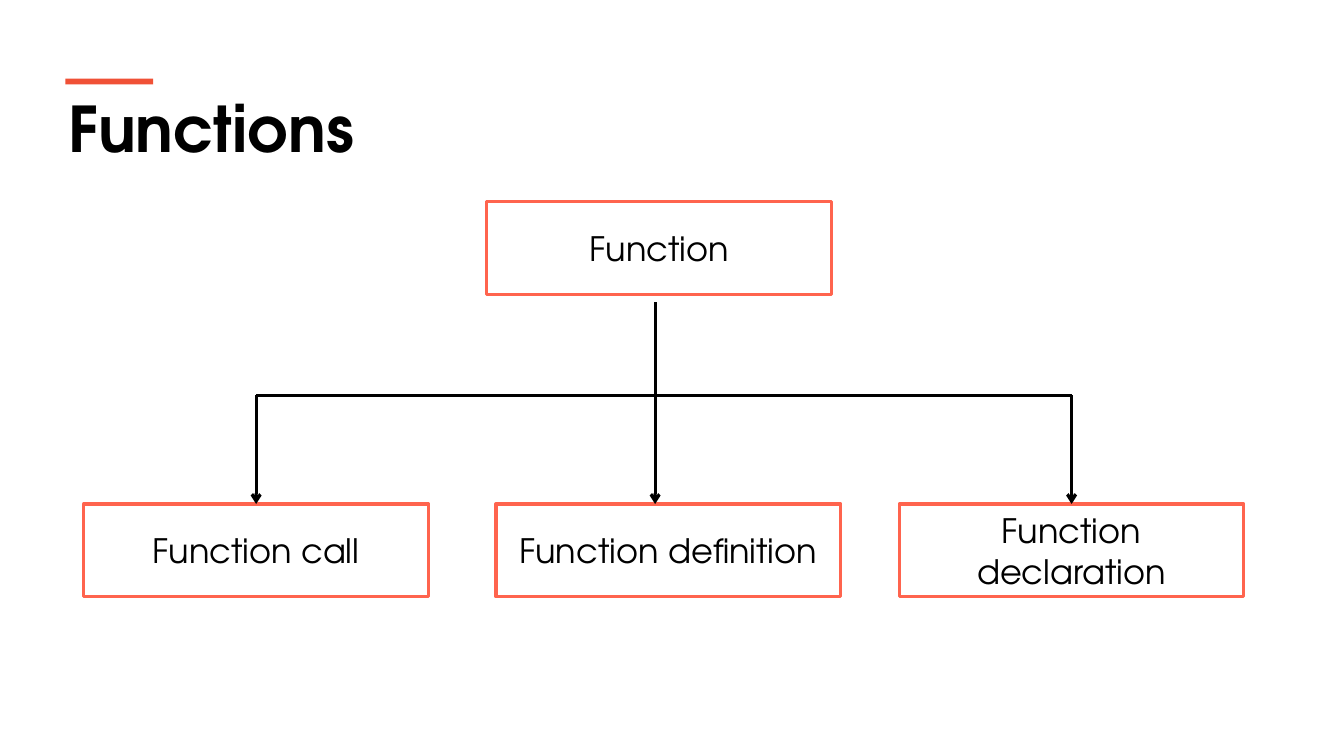
from lxml import etree
from pptx import Presentation
from pptx.dml.color import RGBColor
from pptx.enum.shapes import MSO_CONNECTOR, MSO_SHAPE
from pptx.enum.text import MSO_ANCHOR, MSO_AUTO_SIZE, PP_ALIGN
from pptx.oxml.ns import qn
from pptx.util import Cm, Pt

RECTANGLE = MSO_SHAPE.RECTANGLE
STRAIGHT = MSO_CONNECTOR.STRAIGHT
MIDDLE = MSO_ANCHOR.MIDDLE
LEFT, CENTER = PP_ALIGN.LEFT, PP_ALIGN.CENTER
NO_AUTOFIT = MSO_AUTO_SIZE.NONE
TOP_SIDE = 0

FONT = "TeX Gyre Adventor"
COLORS = {"text": "000000", "accent": "F05136", "border": "FF644E", "line": "000000"}
LINE_WIDTH = Pt(2.25)
BOX_WIDTH, BOX_HEIGHT = Cm(8.69), Cm(2.34)


def color(name):
    return RGBColor.from_string(COLORS[name])


def write_text(shape, text, size=24, bold=False, align=CENTER):
    frame = shape.text_frame
    frame.word_wrap = True
    frame.auto_size = NO_AUTOFIT
    frame.vertical_anchor = MIDDLE
    paragraph = frame.paragraphs[0]
    paragraph.alignment = align
    run = paragraph.add_run()
    run.text = text
    run.font.name = FONT
    run.font.size = Pt(size)
    run.font.bold = bold
    run.font.color.rgb = color("text")


def add_box(slide, text, left, top):
    box = slide.shapes.add_shape(RECTANGLE, left, top, BOX_WIDTH, BOX_HEIGHT)
    box.shadow.inherit = False
    box.fill.background()
    box.line.color.rgb = color("border")
    box.line.width = LINE_WIDTH
    write_text(box, text)
    return box


def add_line(slide, start, end, arrow=False):
    connector = slide.shapes.add_connector(STRAIGHT, *start, *end)
    connector.line.color.rgb = color("line")
    connector.line.width = LINE_WIDTH
    if arrow:
        etree.SubElement(connector.line._get_or_add_ln(), qn("a:tailEnd"), type="arrow")
    etree.SubElement(connector._element.spPr, qn("a:effectLst"))
    return connector


def add_heading(slide, text, left, top, width, height):
    title = slide.shapes.title
    title.left, title.top, title.width, title.height = left, top, width, height
    write_text(title, text, size=45, bold=True, align=LEFT)
    accent = slide.shapes.add_shape(RECTANGLE, left + Cm(0.18), top - Cm(0.15), Cm(2.21), Cm(0.15))
    accent.shadow.inherit = False
    accent.fill.solid()
    accent.fill.fore_color.rgb = color("accent")
    accent.line.fill.background()


def add_tree(slide, root_text, child_texts, left, top):
    child_top = top + Cm(7.62)
    bar_y = top + Cm(4.88)
    stem_x = left + Cm(14.4)
    child_lefts = [left + Cm(offset) for offset in (0, 10.39, 20.55)]

    add_box(slide, root_text, left + Cm(10.16), top)
    children = [
        add_box(slide, text, child_left, child_top)
        for text, child_left in zip(child_texts, child_lefts)
    ]
    first_x, last_x = (child_lefts[i] + BOX_WIDTH // 2 for i in (0, -1))

    add_line(slide, (stem_x, top + Cm(2.54)), (stem_x, bar_y))
    add_line(slide, (first_x, bar_y), (last_x, bar_y))
    add_line(slide, (stem_x, bar_y), (stem_x, child_top), arrow=True)
    for x, child in ((first_x, children[0]), (last_x, children[-1])):
        arrow = add_line(slide, (x, bar_y), (x, child_top), arrow=True)
        arrow.end_connect(child, TOP_SIDE)


def main():
    presentation = Presentation()
    presentation.slide_width, presentation.slide_height = Cm(33.87), Cm(19.05)
    slide = presentation.slides.add_slide(presentation.slide_layouts[5])
    add_heading(slide, "Functions", Cm(1.47), Cm(2.13), Cm(30.94), Cm(2.18))
    add_tree(
        slide,
        "Function",
        ["Function call", "Function definition", "Function declaration"],
        Cm(2.11),
        Cm(5.08),
    )
    presentation.save("out.pptx")


if __name__ == "__main__":
    main()
